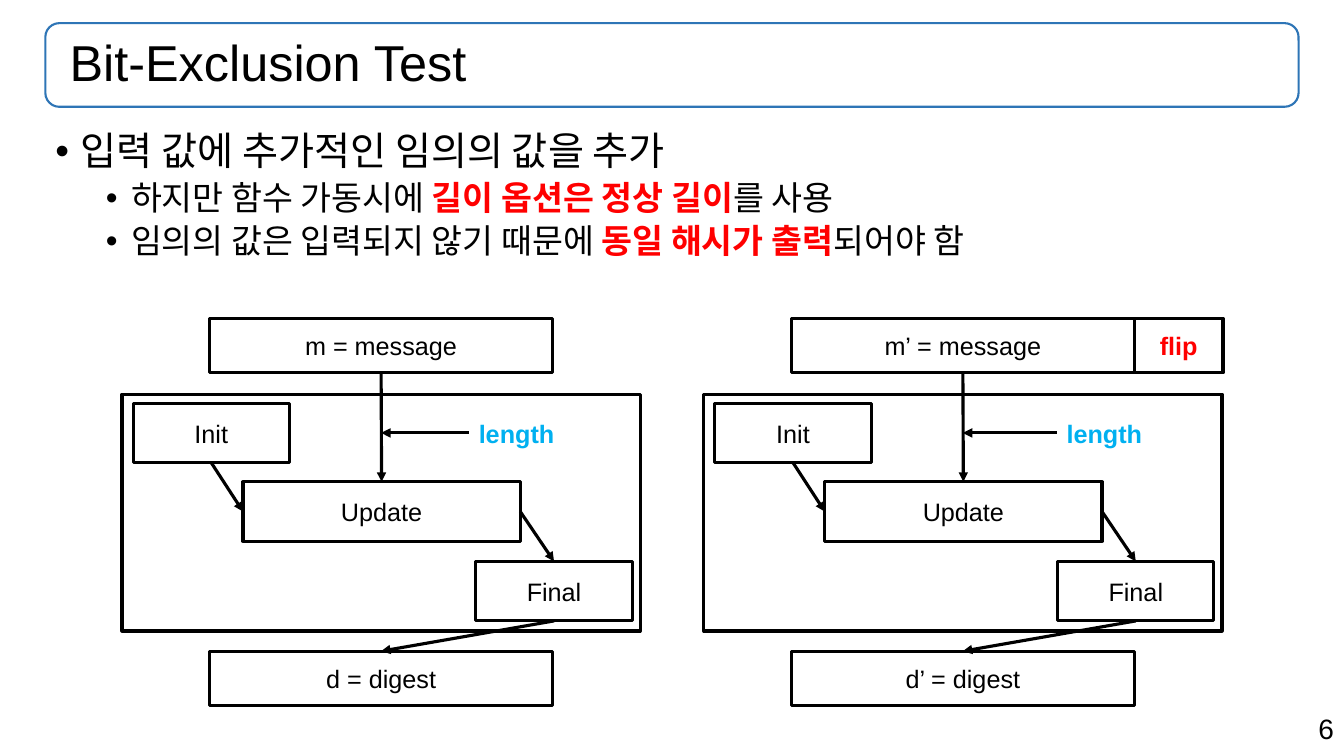
from dataclasses import dataclass

from lxml import etree
from pptx import Presentation
from pptx.dml.color import RGBColor
from pptx.enum import shapes, text
from pptx.oxml.ns import qn
from pptx.util import Inches, Pt


@dataclass(frozen=True)
class Theme:
    font: str = "Arial"
    black: str = "000000"
    red: str = "FF0000"
    cyan: str = "00B0F0"
    blue: str = "2E75B6"
    title: int = 36
    level1: int = 28
    level2: int = 24
    number: int = 20
    label: int = 18
    line: float = 2.25
    frame: float = 1.5


T = Theme()
TITLE = "Bit-Exclusion Test"
PAGE = "6"
TITLE_BOX = (0.45, 0.23, 12.43, 0.83)
BODY_BOX = (0.45, 1.26, 12.43, 6.13)
PAGE_BOX = (9.43, 7.01, 3.9, 0.44)

# (level, [(text, emphasised), ...])
BULLETS = [
    (0, [("입력 값에 추가적인 임의의 값을 추가", False)]),
    (1, [("하지만 함수 가동시에 ", False), ("길이 옵션은 정상 길이", True),
         ("를 사용", False)]),
    (1, [("임의의 값은 입력되지 않기 때문에 ", False), ("동일 해시가 출력", True),
         ("되어야 함", False)]),
]

# Boxes of one hash flow, placed as in the left diagram
FLOW = {
    "message": (2.08, 3.16, 3.4, 0.54),
    "hash": (1.21, 3.91, 5.14, 2.35),
    "Init": (1.32, 4, 1.55, 0.59),
    "Update": (2.41, 4.78, 2.75, 0.59),
    "Final": (4.72, 5.57, 1.55, 0.59),
    "digest": (2.08, 6.46, 3.4, 0.54),
}
TOP, LEFT, BOTTOM, RIGHT = range(4)
ARROWS = [
    ("message", BOTTOM, "Update", TOP),
    ("Init", BOTTOM, "Update", LEFT),
    ("Update", RIGHT, "Final", TOP),
    ("Final", BOTTOM, "digest", TOP),
]
# (horizontal offset, message, digest, left edge of the length label)
DIAGRAMS = [
    (0, "m = message", "d = digest", 4.65),
    (5.77, "m’ = message", "d’ = digest", 10.48),
]
FLIP_BOX = (11.25, 3.16, 0.88, 0.54)


def inches(box):
    return [Inches(v) for v in box]


def place(sp, box):
    sp.left, sp.top, sp.width, sp.height = inches(box)


def write(p, words, size=T.label, color=T.black, bold=False, align=None):
    if align is not None:
        p.alignment = align
    r = p.add_run()
    r.text = words
    f = r.font
    f.name, f.size, f.bold = T.font, Pt(size), bold
    f.color.rgb = RGBColor.from_string(color)


def outline(s, box, kind=shapes.MSO_SHAPE.RECTANGLE, color=T.black, width=T.line):
    sp = s.shapes.add_shape(kind, *inches(box))
    sp.shadow.inherit = False
    sp.fill.background()
    sp.line.color.rgb = RGBColor.from_string(color)
    sp.line.width = Pt(width)
    return sp


def labelled_box(s, box, words, **style):
    sp = outline(s, box)
    sp.text_frame.vertical_anchor = text.MSO_ANCHOR.MIDDLE
    write(sp.text_frame.paragraphs[0], words, align=text.PP_ALIGN.CENTER, **style)
    return sp


def text_box(s, box, words, **style):
    tf = s.shapes.add_textbox(*inches(box)).text_frame
    tf.word_wrap = True
    tf.vertical_anchor = text.MSO_ANCHOR.MIDDLE
    write(tf.paragraphs[0], words, **style)


def arrow(s, start=(0, 0), end=(0, 0)):
    c = s.shapes.add_connector(shapes.MSO_CONNECTOR.STRAIGHT, *inches(start + end))
    c.line.color.rgb = RGBColor.from_string(T.black)
    c.line.width = Pt(T.line)
    etree.SubElement(c.line._get_or_add_ln(), qn("a:tailEnd"), type="triangle")
    etree.SubElement(c._element.spPr, qn("a:effectLst"))
    return c


def add_title(s):
    outline(s, TITLE_BOX, shapes.MSO_SHAPE.ROUNDED_RECTANGLE, T.blue, T.frame)
    place(s.shapes.title, TITLE_BOX)
    tf = s.shapes.title.text_frame
    tf.auto_size = text.MSO_AUTO_SIZE.NONE
    tf.vertical_anchor = text.MSO_ANCHOR.MIDDLE
    tf.margin_left = Inches(0.24)
    p = tf.paragraphs[0]
    p.line_spacing = 0.9
    write(p, TITLE, size=T.title, align=text.PP_ALIGN.LEFT)


def add_bullets(s):
    body = s.placeholders[1]
    place(body, BODY_BOX)
    tf = body.text_frame
    tf.auto_size = text.MSO_AUTO_SIZE.NONE
    for i, (level, runs) in enumerate(BULLETS):
        p = tf.add_paragraph() if i else tf.paragraphs[0]
        p.level = level
        p.line_spacing = 0.9
        p.space_before = Pt(5 if i else 0)
        pPr = p._p.get_or_add_pPr()
        pPr.set("marL", str(Inches(0.25 + 0.5 * level)))
        pPr.set("indent", str(Inches(-0.25)))
        etree.SubElement(pPr, qn("a:buFont"), typeface=T.font)
        etree.SubElement(pPr, qn("a:buChar"), char="•")
        for words, strong in runs:
            write(p, words, size=T.level2 if level else T.level1,
                  color=T.red if strong else T.black, bold=strong)


def add_diagram(s, dx, message, digest, length_x):
    captions = {"message": message, "digest": digest}
    boxes = {}
    for name, (x, y, w, h) in FLOW.items():
        box = (x + dx, y, w, h)
        if name == "hash":
            outline(s, box)
        else:
            boxes[name] = labelled_box(s, box, captions.get(name, name))
    for source, out_side, target, in_side in ARROWS:
        c = arrow(s)
        c.begin_connect(boxes[source], out_side)
        c.end_connect(boxes[target], in_side)

    x, _, w, _ = FLOW["message"]
    _, y, label_w, h = FLOW["Init"]
    middle = y + h / 2
    arrow(s, (length_x, middle), (x + dx + w / 2, middle))
    text_box(s, (length_x, y, label_w, h), "length", color=T.cyan, bold=True)


def main():
    prs = Presentation()
    prs.slide_width, prs.slide_height = Inches(13.33), Inches(7.5)
    s = prs.slides.add_slide(prs.slide_layouts[1])
    add_title(s)
    add_bullets(s)
    for diagram in DIAGRAMS:
        add_diagram(s, *diagram)
    labelled_box(s, FLIP_BOX, "flip", color=T.red, bold=True)
    text_box(s, PAGE_BOX, PAGE, size=T.number, align=text.PP_ALIGN.RIGHT)
    prs.save("out.pptx")


if __name__ == "__main__":
    main()
